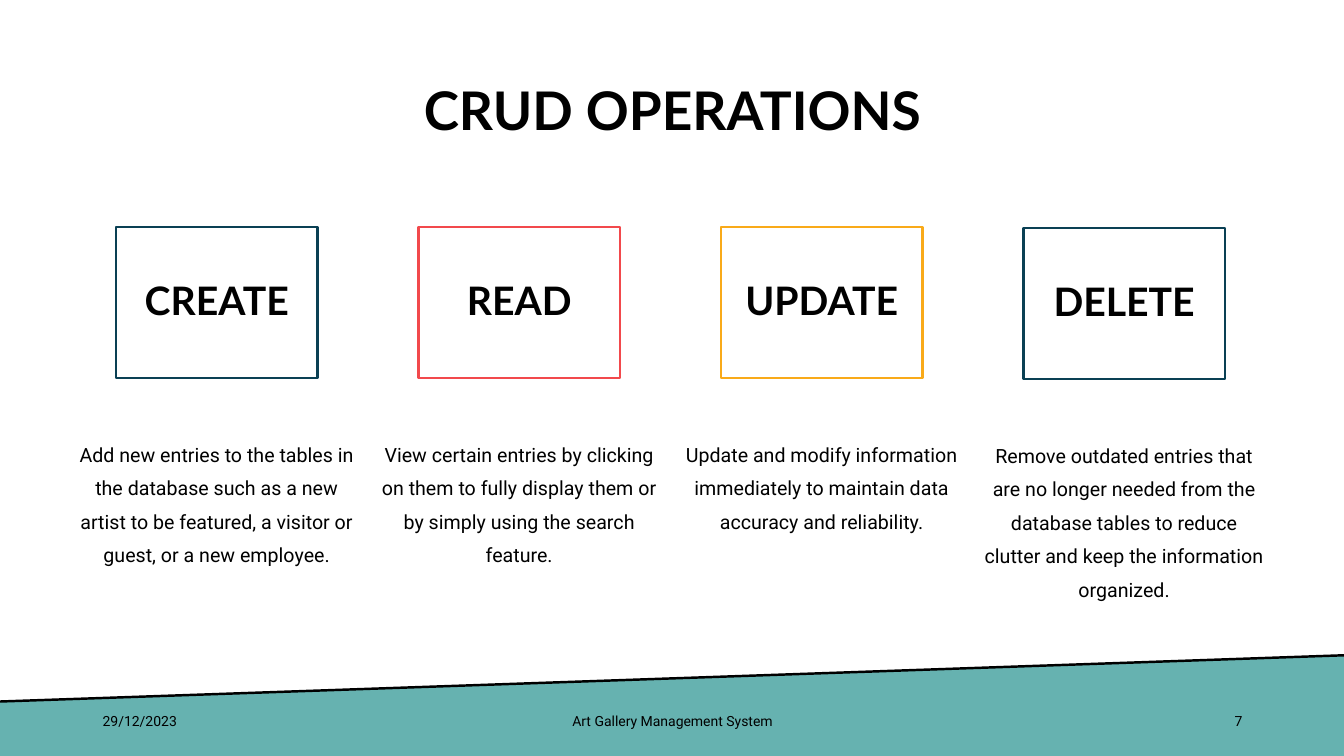
"""Builds the CRUD operations slide of the art gallery deck."""
import pptx
import pptx.dml.color
import pptx.enum.shapes
import pptx.enum.text
import pptx.util
from lxml import etree

TITLE = "CRUD OPERATIONS"
OPERATIONS = [
    ("CREATE", "0A4054", 0, "Add new entries to the tables in the database such as a new "
     "artist to be featured, a visitor or guest, or a new employee."),
    ("READ", "F2494C", 0, "View certain entries by clicking on them to fully display them "
     "or by simply using the search feature."),
    ("UPDATE", "F9AA19", 0, "Update and modify information immediately to maintain data "
     "accuracy and reliability."),
    ("DELETE", "0A4054", 0.01, "Remove outdated entries that are no longer needed from the "
     "database tables to reduce clutter and keep the information organized."),
]
FOOTER = [
    ("29/12/2023", 0.92, 3, "LEFT"),
    ("Art Gallery Management System", 4.42, 4.5, "CENTER"),
    ("7", 9.42, 3, "RIGHT"),
]
WIDTH, HEIGHT = 13.33, 7.5
SLOPE = [(-0.01, 6.96), (13.35, 6.5)]
BAND = SLOPE + [(13.35, 7.5), (0, 7.53)]
FIRST_LEFT, PITCH, COLUMN = 0.65, 3, 3
BOX_TOP, BOX_W, BOX_H = 2.25, 2, 1.5
TEXT_TOP, TEXT_H = 4.24, 1.75
FOOTER_TOP, FOOTER_H = 6.95, 0.4
INCH = pptx.util.Inches
MSO = pptx.enum.text


def rgb(value):
    """Turn a hex string into a colour."""
    return pptx.dml.color.RGBColor.from_string(value)


def write(sp, text, size, font="Roboto", bold=False, align="CENTER",
          anchor="MIDDLE", spacing=None, before=0):
    """Put one formatted paragraph into a shape."""
    tf = sp.text_frame
    tf.word_wrap = True
    tf.vertical_anchor = getattr(MSO.MSO_ANCHOR, anchor)
    p = tf.paragraphs[0]
    p.alignment = getattr(MSO.PP_ALIGN, align)
    p.space_before = pptx.util.Pt(before)
    if spacing:
        p.line_spacing = spacing
    r = p.add_run()
    r.text = text
    r.font.name, r.font.size, r.font.bold = font, pptx.util.Pt(size), bold
    r.font.color.rgb = rgb("000000")


def add_text(s, at, text, size, **fmt):
    """Add a text box at left, top, width, height."""
    write(s.shapes.add_textbox(*map(INCH, at)), text, size, **fmt)


def add_band(s):
    """Draw the sloping footer band and its top edge."""
    points = [(INCH(x), INCH(y)) for x, y in BAND]
    builder = s.shapes.build_freeform(*points[0])
    builder.add_line_segments(points[1:], close=True)
    band = builder.convert_to_shape()
    band.shadow.inherit = False
    band.fill.solid()
    band.fill.fore_color.rgb = rgb("66B2B0")
    band.line.fill.background()
    edge = s.shapes.add_connector(
        pptx.enum.shapes.MSO_CONNECTOR.STRAIGHT, *points[1], *points[0])
    edge.line.color.rgb = rgb("000000")
    edge.line.width = pptx.util.Pt(1.75)
    etree.SubElement(edge._element.spPr, pptx.oxml.ns.qn("a:effectLst"))


def add_operation(s, left, name, color, drop, description):
    """Add one outlined heading with its description below."""
    box = s.shapes.add_shape(
        pptx.enum.shapes.MSO_SHAPE.RECTANGLE,
        *map(INCH, (left + (COLUMN - BOX_W) / 2, BOX_TOP + drop, BOX_W, BOX_H)))
    box.shadow.inherit = False
    box.fill.background()
    box.line.color.rgb = rgb(color)
    box.line.width = pptx.util.Pt(1.75)
    write(box, name, 28, font="Lato", bold=True, spacing=0.9)
    add_text(s, (left, TEXT_TOP + drop, COLUMN, TEXT_H), description, 14,
             anchor="TOP", spacing=pptx.util.Pt(24), before=10)


def main():
    """Build and save the slide."""
    prs = pptx.Presentation()
    prs.slide_width, prs.slide_height = INCH(WIDTH), INCH(HEIGHT)
    s = prs.slides.add_slide(prs.slide_layouts[6])
    add_band(s)
    add_text(s, (0.92, 0.4, 11.5, 1.45), TITLE, 38, font="Lato", bold=True, spacing=0.9)
    for i, operation in enumerate(OPERATIONS):
        add_operation(s, FIRST_LEFT + i * PITCH, *operation)
    for text, left, width, align in FOOTER:
        add_text(s, (left, FOOTER_TOP, width, FOOTER_H), text, 10, align=align)
    prs.save("out.pptx")


if __name__ == "__main__":
    main()
